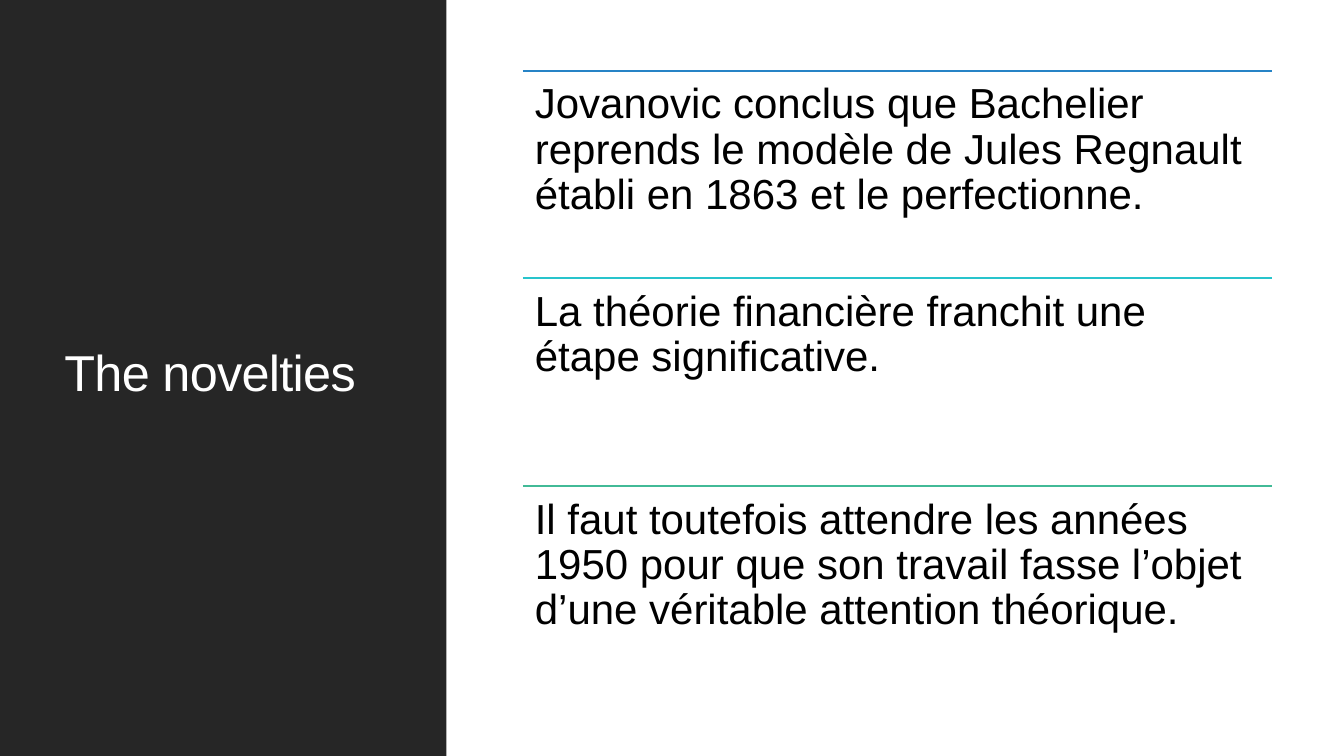
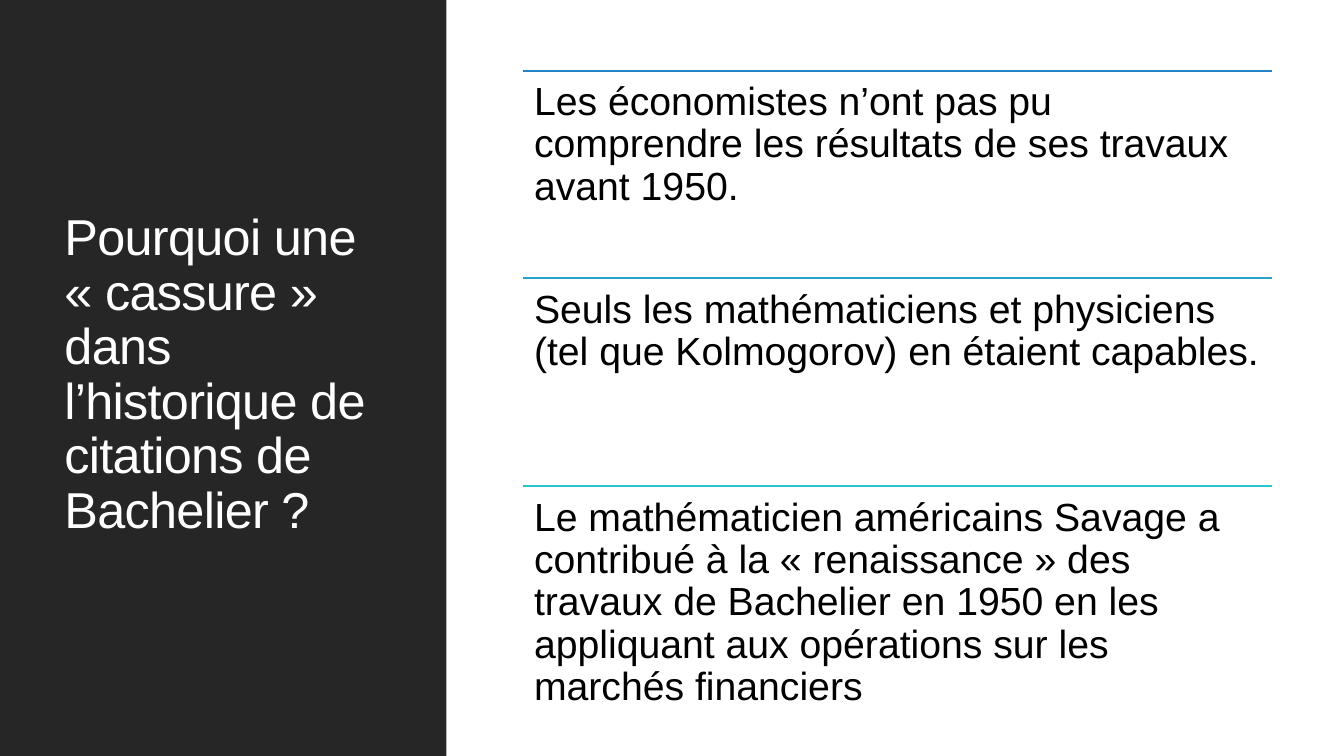
import pptx
import pptx.util
import pptx.dml.color
import pptx.enum.shapes
import pptx.enum.text
import pptx.oxml
import pptx.oxml.ns

Cm = pptx.util.Cm
Pt = pptx.util.Pt

COLORS = {
    "panel": "262626", "title": "FFFFFF", "text": "000000",
    "blue": "2683C6", "cyan": "27A3C9", "turquoise": "28C4CC", "green": "42BA97",
}
FONT = "Arial"

# Boxes in cm: left, top, width, height
SLIDE_W, SLIDE_H = 33.87, 19.05
PANEL = (0, 0, 11.25, SLIDE_H)
ROWS = (13.18, 1.78, 18.87, 15.7)

SLIDES = [
    {
        "title": "The novelties",
        "size": 30,
        "rows": [
            ("blue", "Jovanovic conclus que Bachelier reprends le modèle de Jules "
                     "Regnault établi en 1863 et le perfectionne."),
            ("turquoise", "La théorie financière franchit une étape significative."),
            ("green", "Il faut toutefois attendre les années 1950 pour que son travail "
                      "fasse l’objet d’une véritable attention théorique."),
        ],
    },
    {
        "title": "Pourquoi une « cassure » dans l’historique de citations de Bachelier ?",
        "size": 28,
        "rows": [
            ("blue", "Les économistes n’ont pas pu comprendre les résultats de ses "
                     "travaux avant 1950."),
            ("cyan", "Seuls les mathématiciens et physiciens (tel que Kolmogorov) en "
                     "étaient capables."),
            ("turquoise", "Le mathématicien américains Savage a contribué à la "
                          "« renaissance » des travaux de Bachelier en 1950 en les "
                          "appliquant aux opérations sur les marchés financiers"),
        ],
    },
]


def rgb(name):
    return pptx.dml.color.RGBColor.from_string(COLORS[name])


def set_attrs(obj, values):
    for name, value in values.items():
        setattr(obj, name, value)


def write_text(tf, text, size, color, frame):
    """Fill a text frame with one left-aligned paragraph."""
    set_attrs(tf, {"word_wrap": True,
                   "auto_size": pptx.enum.text.MSO_AUTO_SIZE.NONE, **frame})
    p = tf.paragraphs[0]
    set_attrs(p, {"alignment": pptx.enum.text.PP_ALIGN.LEFT, "line_spacing": 0.9})
    r = p.add_run()
    r.text = text
    set_attrs(r.font, {"name": FONT, "size": Pt(size)})
    r.font.color.rgb = rgb(color)
    return r


def add_title_panel(s, box, text):
    """Dark panel with the slide title centred vertically in it."""
    left, top, width, height = box
    sp = s.shapes.add_shape(pptx.enum.shapes.MSO_SHAPE.RECTANGLE,
                            *map(Cm, box))
    sp.shadow.inherit = False
    sp.fill.solid()
    sp.fill.fore_color.rgb = rgb("panel")
    sp.line.fill.background()

    title = s.shapes.title
    set_attrs(title, {"left": Cm(left + 1.37), "top": Cm(top + 1.45),
                      "width": Cm(width - 2.69), "height": Cm(height - 3.02)})
    r = write_text(title.text_frame, text, 36, "title",
                   {"vertical_anchor": pptx.enum.text.MSO_ANCHOR.MIDDLE})
    r.font._element.set("spc", "-50")
    # Bring the title in front of the panel
    sp._element.addnext(title._element)


def add_rule(s, left, top, width, color):
    line = s.shapes.add_connector(pptx.enum.shapes.MSO_CONNECTOR.STRAIGHT,
                                  Cm(left), Cm(top), Cm(left + width), Cm(top))
    line.line.width = Pt(1.25)
    line.line.color.rgb = rgb(color)
    line._element.spPr.append(pptx.oxml.parse_xml(
        "<a:effectLst %s/>" % pptx.oxml.ns.nsdecls("a")))


def add_ruled_rows(s, box, rows, size):
    """Equal rows, each with a coloured rule along its top."""
    left, top, width, height = box
    step = height / len(rows)
    inset = Cm(size / 100)
    margins = {"margin_" + side: inset
               for side in ("left", "top", "right", "bottom")}
    for i, (color, text) in enumerate(rows):
        y = top + i * step
        add_rule(s, left, y, width, color)
        sp = s.shapes.add_textbox(Cm(left), Cm(y), Cm(width), Cm(step))
        write_text(sp.text_frame, text, size, "text", margins)


def main():
    prs = pptx.Presentation()
    set_attrs(prs, {"slide_width": Cm(SLIDE_W), "slide_height": Cm(SLIDE_H)})
    title_only = prs.slide_layouts[5]
    for content in SLIDES:
        s = prs.slides.add_slide(title_only)
        add_title_panel(s, PANEL, content["title"])
        add_ruled_rows(s, ROWS, content["rows"], content["size"])
    prs.save("out.pptx")


if __name__ == "__main__":
    main()
